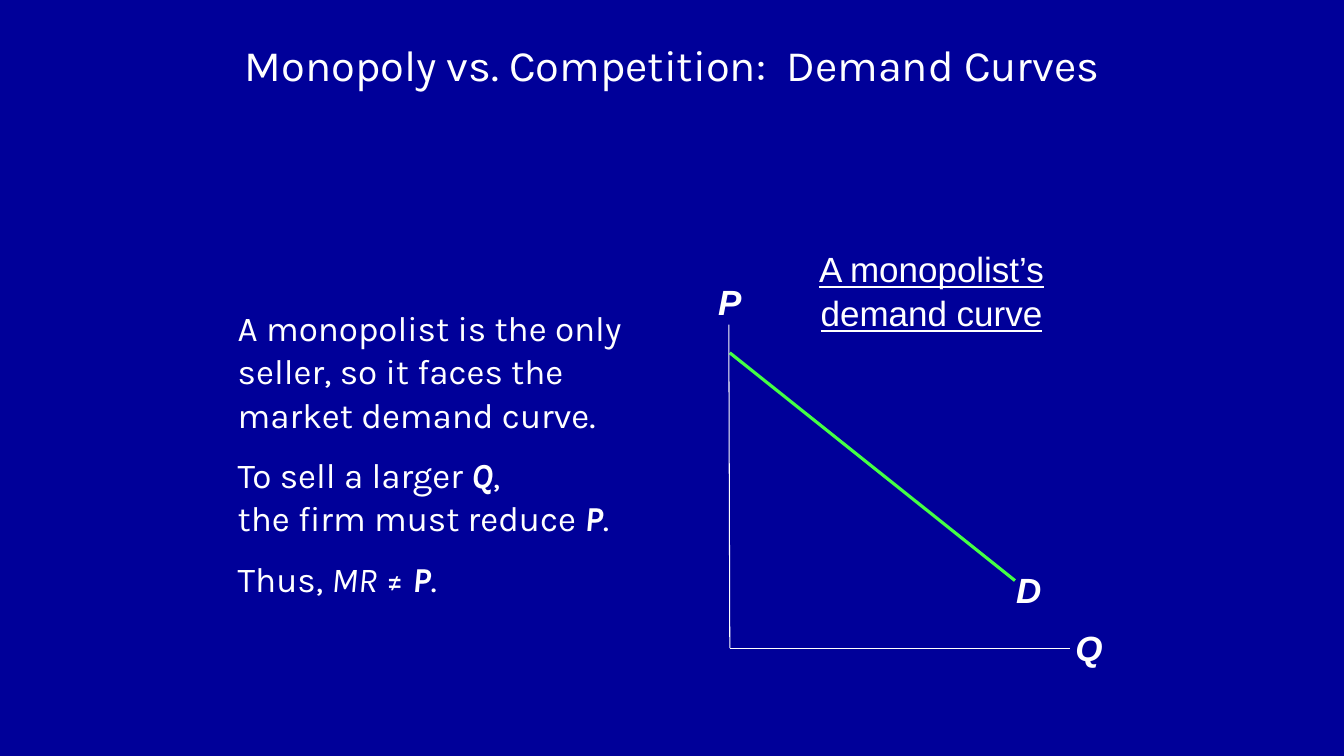
import pptx
import pptx.util
import pptx.dml.color
import pptx.enum.shapes
import pptx.enum.text
import pptx.oxml.ns
import lxml.etree

Pt = pptx.util.Pt
RGBColor = pptx.dml.color.RGBColor
PP_ALIGN = pptx.enum.text.PP_ALIGN

NAVY = RGBColor(0x00, 0x00, 0x99)
WHITE = RGBColor(0xFF, 0xFF, 0xFF)
GREEN = RGBColor(0x44, 0xFF, 0x44)


def set_font(font, name, size):
    font.name = name
    font.size = Pt(size)
    font.color.rgb = WHITE


deck = pptx.Presentation()
deck.slide_width = Pt(960)
deck.slide_height = Pt(540)
page = deck.slides.add_slide(deck.slide_layouts[5])
page.background.fill.solid()
page.background.fill.fore_color.rgb = NAVY

title = page.shapes.title
title.left, title.top, title.width, title.height = Pt(120), Pt(20.2), Pt(720), Pt(51)
title.text_frame.text = "Monopoly vs. Competition:  Demand Curves"
title.text_frame.vertical_anchor = pptx.enum.text.MSO_ANCHOR.MIDDLE
title_para = title.text_frame.paragraphs[0]
title_para.alignment = PP_ALIGN.CENTER
set_font(title_para.font, "Karla", 31)

explanation = [
    [("A monopolist is the only seller, so it faces the market demand curve.", "")],
    [("To sell a larger ", ""), ("Q", "bi"), (",", ""), ("\n", ""),
     ("the firm must reduce ", ""), ("P", "bi"), (".", "")],
    [("Thus, ", ""), ("MR", "i"), (" ≠ ", ""), ("P", "bi"), (".", "")],
]
body = page.shapes.add_textbox(Pt(162.7), Pt(214.6), Pt(308.9), Pt(269.3))
body.text_frame.word_wrap = True
for index, pieces in enumerate(explanation):
    para = body.text_frame.add_paragraph() if index else body.text_frame.paragraphs[0]
    para.line_spacing = 1.03
    if index:
        para.space_before = Pt(12.5)
    set_font(para.font, "Karla", 25)
    for text, style in pieces:
        if text == "\n":
            para.add_line_break()
            continue
        span = para.add_run()
        span.text = text
        if "b" in style:
            span.font.bold = True
        if "i" in style:
            span.font.italic = True

graph_lines = [
    (521.3, 252, 725, 414.7, GREEN, 2.25),
    (520.6, 231.8, 521.3, 463, WHITE, 0.75),
    (521.3, 463, 764.6, 463, WHITE, 0.75),
]
for left, top, right, bottom, color, width in graph_lines:
    line = page.shapes.add_connector(
        pptx.enum.shapes.MSO_CONNECTOR.STRAIGHT, Pt(left), Pt(top), Pt(right), Pt(bottom))
    line.line.color.rgb = color
    line.line.width = Pt(width)
    lxml.etree.SubElement(line._element.spPr, pptx.oxml.ns.qn("a:effectLst"))

graph_labels = [
    ("D", 725.8, 404.6, 25.9, 33.8, 0, PP_ALIGN.LEFT),
    ("P", 502.6, 195.1, 37.4, 37.4, 7.2, PP_ALIGN.CENTER),
    ("Q", 761, 442.8, 42.5, 37.4, 7.2, PP_ALIGN.LEFT),
    ("A monopolist’s demand curve", 549.4, 172.1, 231.8, 67, 7.2, PP_ALIGN.CENTER),
]
for text, left, top, width, height, margin, alignment in graph_labels:
    box = page.shapes.add_textbox(Pt(left), Pt(top), Pt(width), Pt(height))
    frame = box.text_frame
    frame.word_wrap = True
    frame.margin_left = frame.margin_right = Pt(margin)
    frame.margin_top = frame.margin_bottom = Pt(margin / 2)
    frame.text = text
    para = frame.paragraphs[0]
    para.alignment = alignment
    para.line_spacing = 1.05
    set_font(para.font, "Arial", 25)
    is_symbol = len(text) == 1
    para.font.bold = is_symbol
    para.font.italic = is_symbol
    para.font.underline = not is_symbol

deck.save("out.pptx")
